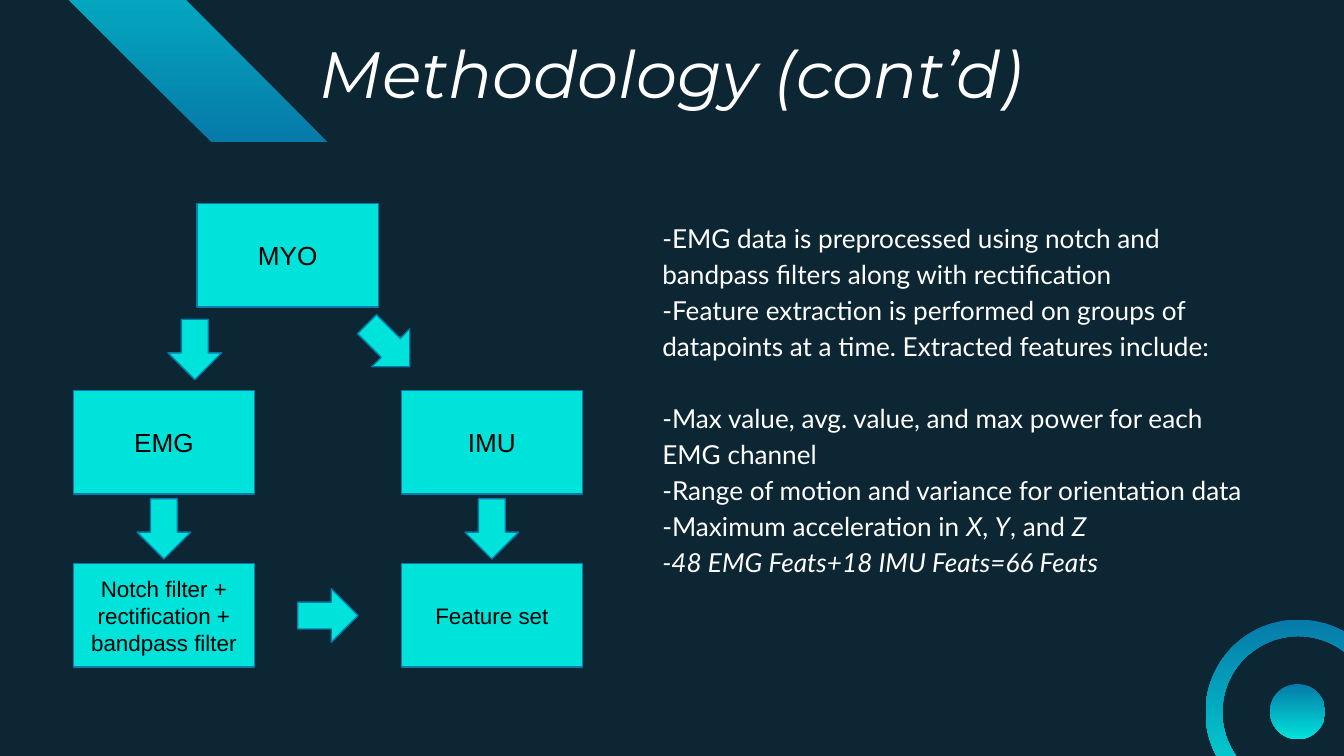
from dataclasses import dataclass

from pptx import Presentation
from pptx import util as u
from pptx.dml.color import RGBColor
from pptx.enum import shapes, text

NAVY = RGBColor(0x0C, 0x26, 0x33)
BLUE = RGBColor(0x06, 0x7A, 0xA9)
CYAN = RGBColor(0x00, 0xE3, 0xDB)
WHITE = RGBColor(0xFF, 0xFF, 0xFF)
BLACK = RGBColor(0x00, 0x00, 0x00)

KIND = shapes.MSO_SHAPE
SLIDE_WIDTH = 10
SLIDE_HEIGHT = SLIDE_WIDTH * 9 / 16
BOX_WIDTH, BOX_HEIGHT = 1.35, 0.77
ARROW_WIDTH, ARROW_HEIGHT = 0.4, 0.45
LEFT, RIGHT = 1.22, 3.66  # centres of the flow columns
TOP, MIDDLE, BOTTOM = 1.9, 3.29, 4.58  # centres of the flow rows
LOWER_GAP = (MIDDLE + BOTTOM) / 2


@dataclass(frozen=True)
class Step:
    """A labelled box of the flow, placed by its centre."""
    label: str
    x: float
    y: float
    size: int = 14


@dataclass(frozen=True)
class Arrow:
    """A block arrow of the flow, placed by its centre."""
    x: float
    y: float
    rotation: int = 0


@dataclass(frozen=True)
class Line:
    """A paragraph whose runs alternate between upright and italic."""
    runs: tuple[str, ...]
    starts_italic: bool = False
    space_before: float = 0


STEPS = (
    Step("MYO", 2.14, TOP),
    Step("IMU", RIGHT, MIDDLE),
    Step("EMG", LEFT, MIDDLE),
    Step("Notch filter + rectification + bandpass filter", LEFT, BOTTOM, 12),
    Step("Feature set", RIGHT, BOTTOM, 12),
)
ARROWS = (
    Arrow(1.45, 2.6),
    Arrow(LEFT, LOWER_GAP),
    Arrow((LEFT + RIGHT) / 2, BOTTOM, 270),
    Arrow(2.89, 2.57, 315),
    Arrow(RIGHT, LOWER_GAP),
)
LINES = (
    Line(("-EMG data is preprocessed using notch and bandpass filters along with rectification",)),
    Line(("-Feature extraction is performed on groups of datapoints at a time. "
          "Extracted features include:",)),
    Line(("-Max value, avg. value, and max power for each EMG channel",), space_before=19.3),
    Line(("-Range of motion and variance for orientation data",)),
    Line(("-Maximum acceleration in ", "X", ", ", "Y", ", and ", "Z")),
    Line(("-48 EMG Feats+18 IMU Feats=66 Feats",), starts_italic=True),
)


def set_frame(frame, anchor) -> None:
    """Give a text frame wrapping, even margins and an anchor."""
    frame.word_wrap = True
    frame.auto_size = text.MSO_AUTO_SIZE.NONE
    frame.vertical_anchor = anchor
    frame.margin_left = frame.margin_right = u.Inches(0.1)
    frame.margin_top = frame.margin_bottom = u.Inches(0.1)


def set_font(font, name: str, size: float, color: RGBColor, italic: bool = False) -> None:
    """Format a run's font."""
    font.name, font.size, font.italic = name, u.Pt(size), italic
    font.color.rgb = color


def add_shape(slide, kind, left: float, top: float, width: float, height: float):
    """Add a preset shape without a shadow."""
    shape = slide.shapes.add_shape(kind, *map(u.Inches, (left, top, width, height)))
    shape.shadow.inherit = False
    return shape


def add_ornament(slide, kind, left: float, top: float, size: float, adjustment=None):
    """Add a square ornament with a blue to cyan gradient."""
    shape = add_shape(slide, kind, left, top, size, size)
    if adjustment is not None:
        shape.adjustments[0] = adjustment
    shape.line.fill.background()
    shape.fill.gradient()
    shape.fill.gradient_angle = 270
    for stop, color in zip(shape.fill.gradient_stops, (BLUE, CYAN)):
        stop.color.rgb = color
    return shape


def add_flow_shape(slide, kind, x: float, y: float, width: float, height: float):
    """Add a cyan flow shape around a centre."""
    shape = add_shape(slide, kind, x - width / 2, y - height / 2, width, height)
    shape.fill.solid()
    shape.fill.fore_color.rgb = CYAN
    shape.line.color.rgb = BLUE
    shape.line.width = u.Pt(0.75)
    return shape


def add_step(slide, step: Step) -> None:
    """Draw a box with its label."""
    shape = add_flow_shape(slide, KIND.RECTANGLE, step.x, step.y, BOX_WIDTH, BOX_HEIGHT)
    set_frame(shape.text_frame, text.MSO_ANCHOR.MIDDLE)
    shape.text_frame.text = step.label
    paragraph = shape.text_frame.paragraphs[0]
    paragraph.alignment = text.PP_ALIGN.CENTER
    set_font(paragraph.runs[0].font, "Arial", step.size, BLACK)


def add_arrow(slide, arrow: Arrow) -> None:
    """Draw a block arrow, turned from pointing down."""
    shape = add_flow_shape(slide, KIND.DOWN_ARROW, arrow.x, arrow.y, ARROW_WIDTH, ARROW_HEIGHT)
    shape.rotation = arrow.rotation


def add_description(slide) -> None:
    """Write the text beside the flow."""
    box = slide.shapes.add_textbox(*map(u.Inches, (4.83, 1.52, 4.7, 2.25)))
    frame = box.text_frame
    set_frame(frame, text.MSO_ANCHOR.TOP)
    for index, line in enumerate(LINES):
        paragraph = frame.add_paragraph() if index else frame.paragraphs[0]
        paragraph.line_spacing = 1.15
        paragraph.space_before = u.Pt(line.space_before)
        italic = line.starts_italic
        for words in line.runs:
            run = paragraph.add_run()
            run.text = words
            set_font(run.font, "Lato", 14, WHITE, italic)
            italic = not italic


def set_title(slide) -> None:
    """Place and format the title."""
    title = slide.shapes.title
    title.left, title.top, title.width, title.height = map(u.Inches, (1.74, 0.15, 6.51, 0.63))
    set_frame(title.text_frame, text.MSO_ANCHOR.TOP)
    title.text_frame.text = "Methodology (cont’d)"
    paragraph = title.text_frame.paragraphs[0]
    paragraph.alignment = text.PP_ALIGN.CENTER
    set_font(paragraph.runs[0].font, "Montserrat", 35, WHITE, True)


def main() -> None:
    """Build and save the slide."""
    presentation = Presentation()
    presentation.slide_width = u.Inches(SLIDE_WIDTH)
    presentation.slide_height = u.Inches(SLIDE_HEIGHT)
    slide = presentation.slides.add_slide(presentation.slide_layouts[5])
    slide.background.fill.solid()
    slide.background.fill.fore_color.rgb = NAVY

    add_ornament(slide, KIND.DONUT, 8.97, 4.61, 1.38, 0.09)
    add_ornament(slide, KIND.OVAL, 9.45, 5.09, 0.41)
    stripe = add_ornament(slide, KIND.DIAGONAL_STRIPE, 0, -1.38, 2.44, 0.646)
    stripe.rotation = 180
    stripe._element.spPr.xfrm.set("flipH", "1")

    set_title(slide)
    add_description(slide)
    for step in STEPS:
        add_step(slide, step)
    for arrow in ARROWS:
        add_arrow(slide, arrow)
    presentation.save("out.pptx")


main()
